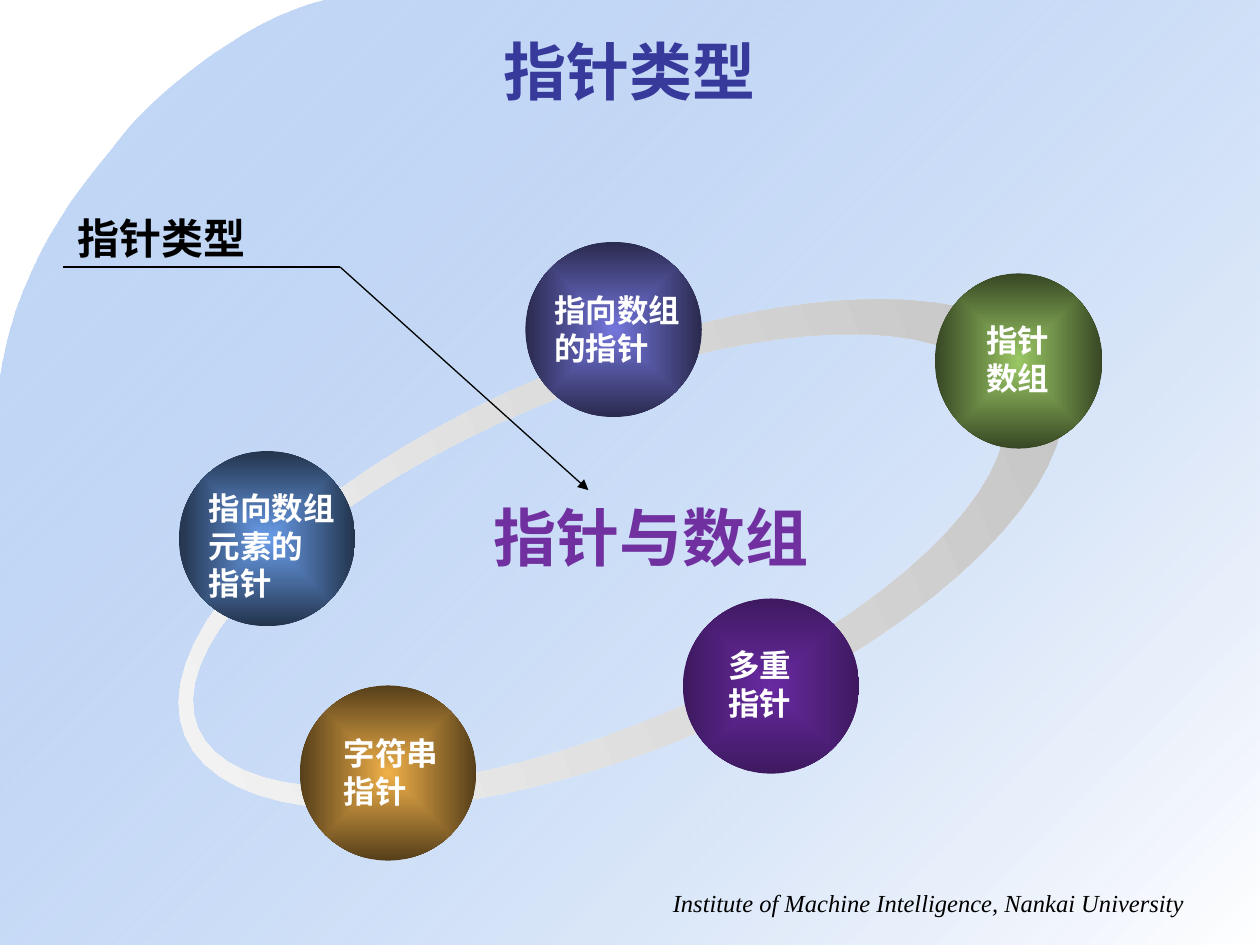
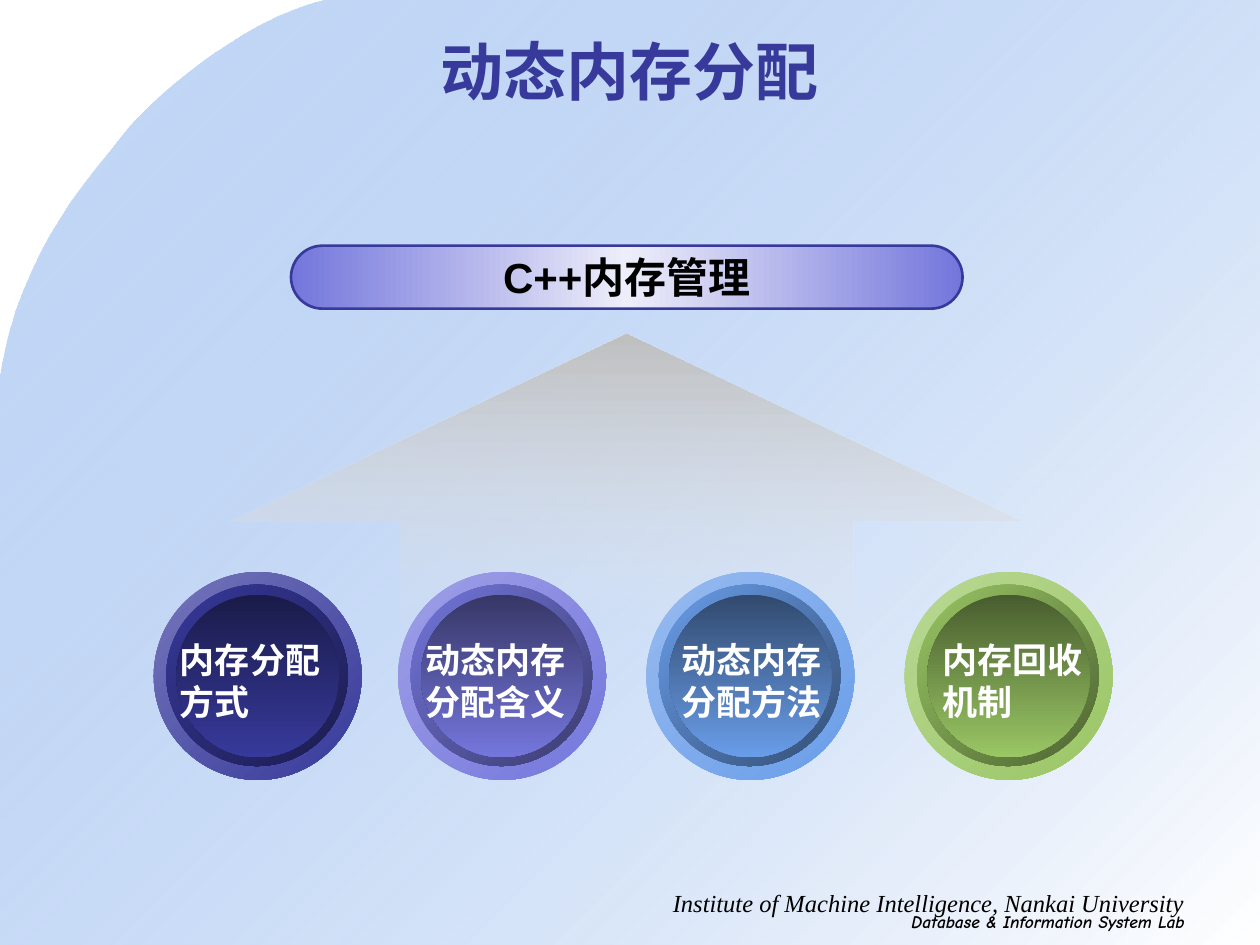
"""Build two slides on C++ pointer types and dynamic memory allocation."""
import math
from dataclasses import dataclass

import pptx
import pptx.dml.color
import pptx.enum.shapes
import pptx.enum.text
import pptx.oxml
import pptx.oxml.ns
import pptx.util
from pptx.util import Inches

SHAPE = pptx.enum.shapes.MSO_SHAPE
ALIGN = pptx.enum.text.PP_ALIGN
ANCHOR = pptx.enum.text.MSO_ANCHOR
AUTO = pptx.enum.text.MSO_AUTO_SIZE
qn = pptx.oxml.ns.qn


@dataclass(frozen=True)
class Theme:
    navy: str = "37399B"
    indigo: str = "7476DC"
    blue: str = "699DE9"
    green: str = "9AC664"
    gold: str = "EFB049"
    purple: str = "692AA2"
    violet: str = "7030A0"
    black: str = "000000"
    white: str = "FFFFFF"
    glow: str = "EDEEF9"
    silver: str = "C0C0C0"
    mist: str = "ECECEC"
    pale: str = "F8F8F8"
    cjk: str = "Noto Sans CJK SC"
    latin: str = "Arial"
    serif: str = "Times New Roman"
    comic: str = "Comic Neue"
    title: int = 36
    heading: int = 24
    button: int = 20
    ball: int = 18
    footer: int = 14
    lab: int = 10


def shade(color, share):
    return "".join(f"{round(c * share):02X}" for c in bytes.fromhex(color))


def tint(color, share):
    return "".join(f"{round(255 - (255 - c) * share):02X}" for c in bytes.fromhex(color))


def curve(p0, p1, p2, p3, steps=16):
    """Points along a cubic curve, without its start."""
    for i in range(1, steps + 1):
        t = i / steps
        weights = ((1 - t) ** 3, 3 * t * (1 - t) ** 2, 3 * t * t * (1 - t), t ** 3)
        yield tuple(sum(w * p[k] for w, p in zip(weights, (p0, p1, p2, p3))) for k in (0, 1))


def oval(cx, cy, rx, ry, direction=1, steps=72):
    angles = [direction * 2 * math.pi * i / steps for i in range(steps)]
    return [(cx + rx * math.cos(a), cy + ry * math.sin(a)) for a in angles]


class Deck:
    """Holds the theme and the current slide, and draws each kind of element."""

    def __init__(self, theme):
        self.theme = theme
        self.prs = pptx.Presentation()
        self.prs.slide_width = Inches(10)
        self.prs.slide_height = Inches(7.5)
        self.shapes = None

    def slide(self, title):
        t = self.theme
        self.shapes = self.prs.slides.add_slide(self.prs.slide_layouts[6]).shapes
        edge = [(2.58, 0), *curve((2.58, 0), (1.9, 0.16), (1.16, 0.83), (0.98, 1.07)),
                *curve((0.98, 1.07), (0.8, 1.32), (0.16, 1.94), (0, 3.01))]
        backdrop = self.outline(edge + [(0, 7.5), (10, 7.5), (10, 0)])
        self.gradient(backdrop, [(0, t.blue, 39), (100, t.white)], 45)
        self.text("Institute of Machine Intelligence, Nankai University", 4.83, 7, 4.67, 0.34,
                  t.footer, t.black, font=t.serif, bold=False, italic=True, align=ALIGN.RIGHT)
        self.text(title, 0.5, 0.25, 9, 0.62, t.title, t.navy,
                  align=ALIGN.CENTER, anchor=ANCHOR.MIDDLE)

    def gradient(self, sp, stops, angle=None):
        """Fill with (percent, colour[, opacity]) stops, from the centre if no angle is given."""
        gs = ""
        for at, color, *opacity in stops:
            alpha = "".join(f'<a:alpha val="{o * 1000}"/>' for o in opacity)
            gs += f'<a:gs pos="{at * 1000}"><a:srgbClr val="{color}">{alpha}</a:srgbClr></a:gs>'
        if angle is None:
            way = '<a:path path="shape"><a:fillToRect l="50000" t="50000" r="50000" b="50000"/></a:path>'
        else:
            way = f'<a:lin ang="{angle * 60000}" scaled="1"/>'
        grad = pptx.oxml.parse_xml(
            '<a:gradFill xmlns:a="http://schemas.openxmlformats.org/drawingml/2006/main" '
            f'rotWithShape="1"><a:gsLst>{gs}</a:gsLst>{way}</a:gradFill>')
        sp.fill.background()
        spPr = sp._element.spPr
        spPr.replace(spPr.find(qn("a:noFill")), grad)

    def outline(self, *contours):
        emu = [[(Inches(x), Inches(y)) for x, y in contour] for contour in contours]
        builder = self.shapes.build_freeform(*emu[0][0])
        builder.add_line_segments(emu[0][1:])
        for contour in emu[1:]:
            builder.move_to(*contour[0])
            builder.add_line_segments(contour[1:])
        return self.plain(builder.convert_to_shape())

    def shape(self, kind, x, y, w, h):
        return self.plain(self.shapes.add_shape(kind, Inches(x), Inches(y), Inches(w), Inches(h)))

    def plain(self, sp):
        sp.shadow.inherit = False
        sp.line.fill.background()
        return sp

    def fill_text(self, tf, text, size, color, font=None, bold=True, italic=False, align=None):
        tf.text = text
        for p in tf.paragraphs:
            p.alignment = align
            for r in p.runs:
                r.font.size = pptx.util.Pt(size)
                r.font.bold, r.font.italic = bold, italic
                r.font.color.rgb = pptx.dml.color.RGBColor.from_string(color)
                r.font.name = font or self.theme.cjk
                rPr = r._r.get_or_add_rPr()
                rPr.append(rPr.makeelement(qn("a:ea"), {"typeface": self.theme.cjk}))

    def text(self, text, x, y, w, h, size, color, wrap=True, anchor=ANCHOR.TOP, **style):
        tf = self.shapes.add_textbox(Inches(x), Inches(y), Inches(w), Inches(h)).text_frame
        tf.word_wrap = wrap
        tf.auto_size = AUTO.NONE if wrap else AUTO.SHAPE_TO_FIT_TEXT
        tf.vertical_anchor = anchor
        self.fill_text(tf, text, size, color, **style)

    def line(self, start, end, arrow=False):
        cx = self.shapes.add_connector(pptx.enum.shapes.MSO_CONNECTOR.STRAIGHT,
                                       *map(Inches, start + end))
        cx.line.width = pptx.util.Pt(0.75)
        cx.line.color.rgb = pptx.dml.color.RGBColor.from_string(self.theme.black)
        spPr = cx._element.spPr
        if arrow:
            ln = spPr.find(qn("a:ln"))
            ln.append(ln.makeelement(qn("a:tailEnd"), {"type": "triangle"}))
        spPr.append(spPr.makeelement(qn("a:effectLst"), {}))

    def ball(self, x, y, w, color, dark):
        sp = self.shape(SHAPE.OVAL, x, y, w, 1.39)
        self.gradient(sp, [(0, color), (100, shade(color, dark))])

    def button(self, x, color):
        rings = [(0, 1.65, tint(color, 0.69), color, 45),
                 (0.1, 1.44, color, shade(color, 0.5), 45),
                 (0.18, 1.29, shade(color, 0.47), color, 90)]
        for inset, size, first, last, angle in rings:
            sp = self.shape(SHAPE.OVAL, x + inset, 4.54 + inset, size, size)
            self.gradient(sp, [(0, first), (100, last)], angle)


def pointer_types(deck):
    t = deck.theme
    deck.slide("指针类型")
    ring = deck.outline(oval(4.93, 4.4, 3.75, 1.54), oval(4.75, 4.38, 3.45, 1.32, -1))
    ring.rotation = 337.4
    deck.gradient(ring, [(0, t.pale), (100, t.silver)], 0)

    balls = [
        (4.17, 1.92, 1.4, t.indigo, 0.36, "指向数组\n的指针", 4.3, 2.26, 1.21, 0.71),
        (1.42, 3.58, 1.4, t.blue, 0.33, "指向数组\n元素的\n指针", 1.56, 3.83, 1.21, 1.01),
        (2.38, 5.44, 1.4, t.gold, 0.36, "字符串\n指针", 2.63, 5.78, 0.96, 0.71),
        (5.42, 4.75, 1.4, t.purple, 0.59, "多重\n指针", 5.68, 5.08, 0.71, 0.71),
        (7.42, 2.17, 1.33, t.green, 0.36, "指针\n数组", 7.73, 2.5, 0.71, 0.71),
    ]
    for x, y, w, color, dark, label, *box in balls:
        deck.ball(x, y, w, color, dark)
        deck.text(label, *box, t.ball, t.white, wrap=False)

    deck.text("指针与数组", 3.75, 3.91, 2.83, 0.71, t.title, t.violet, align=ALIGN.CENTER)
    bend = (2.7, 2.12)
    deck.line(bend, (4.67, 3.89), arrow=True)
    deck.line(bend, (0.5, 2.12))
    deck.text("指针类型", 0.52, 1.64, 1.56, 0.5, t.heading, t.black, wrap=False)


def memory_allocation(deck):
    t = deck.theme
    deck.slide("动态内存分配")
    arrow = deck.shape(SHAPE.UP_ARROW, 1.82, 2.65, 6.3, 2.36)
    arrow.adjustments[0], arrow.adjustments[1] = 0.57, 0.63
    deck.gradient(arrow, [(0, t.silver), (100, t.mist, 0)], 90)

    pill = deck.shape(SHAPE.ROUNDED_RECTANGLE, 2.31, 1.95, 5.33, 0.5)
    pill.adjustments[0] = 0.5
    deck.gradient(pill, [(0, t.indigo), (50, t.glow), (100, t.indigo)], 0)
    pill.line.color.rgb = pptx.dml.color.RGBColor.from_string(t.navy)
    pill.line.width = pptx.util.Pt(1.5)
    pill.text_frame.word_wrap = False
    pill.text_frame.vertical_anchor = ANCHOR.MIDDLE
    deck.fill_text(pill.text_frame, "C++内存管理", t.heading, t.black,
                   font=t.latin, align=ALIGN.CENTER)

    buttons = [
        (1.22, t.navy, "内存分配\n方式", 1.33),
        (3.16, t.indigo, "动态内存\n分配含义", 3.28),
        (5.13, t.blue, "动态内存\n分配方法", 5.31),
        (7.18, t.green, "内存回收\n机制", 7.38),
    ]
    for x, color, label, label_x in buttons:
        deck.button(x, color)
        deck.text(label, label_x, 5.02, 1.33, 0.77, t.button, t.white, wrap=False)

    deck.text("Database & Information System Lab", 6.92, 7.18, 2.58, 0.27, t.lab, t.black,
              font=t.comic, italic=True, align=ALIGN.RIGHT)


def main():
    deck = Deck(Theme())
    pointer_types(deck)
    memory_allocation(deck)
    deck.prs.save("out.pptx")


if __name__ == "__main__":
    main()
